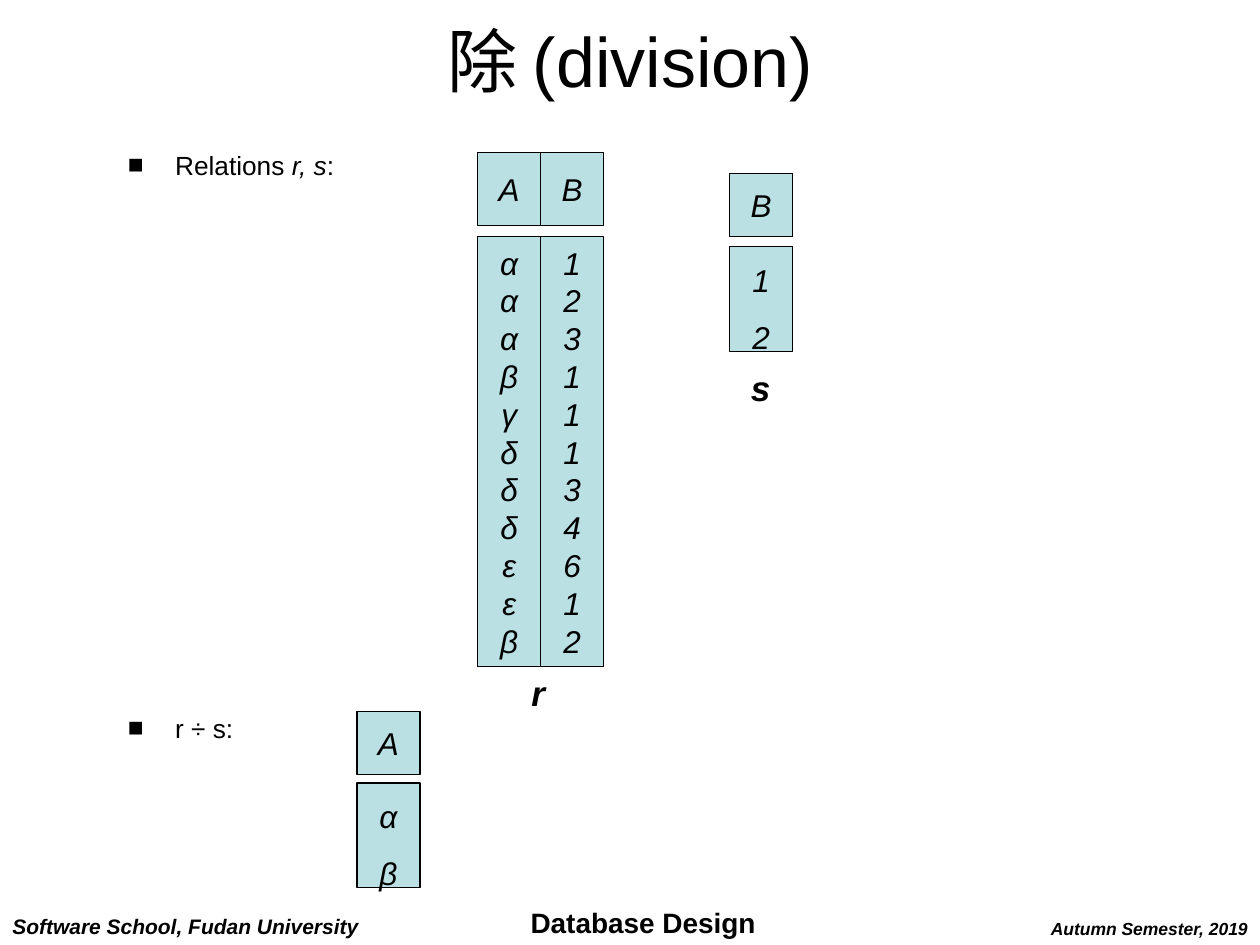
from lxml.etree import SubElement
from pptx import Presentation
from pptx.dml.color import RGBColor
from pptx.enum.shapes import MSO_SHAPE as SHAPE
from pptx.enum.text import MSO_ANCHOR as ANCHOR, MSO_AUTO_SIZE as AUTO, PP_ALIGN as ALIGN
from pptx.oxml.ns import qn
from pptx.util import Pt

BLACK, TEAL = "000000", "BBE0E3"


def color(value):
    """Turn a hex string into a colour."""
    return RGBColor.from_string(value)


def style(p, size, bold=False, italic=False):
    """Format every run of a paragraph."""
    for r in p.runs:
        r.font.name = "Arial"
        r.font.size = Pt(size)
        r.font.bold = bold
        r.font.italic = italic
        r.font.color.rgb = color(BLACK)


def add_text(s, box, text, size, align=ALIGN.CENTER, anchor=ANCHOR.TOP,
             wrap=False, bold=False, italic=False):
    """Add a one-line text box and return its paragraph."""
    tf = s.shapes.add_textbox(*map(Pt, box)).text_frame
    tf.word_wrap = wrap
    tf.auto_size = AUTO.NONE if wrap else AUTO.SHAPE_TO_FIT_TEXT
    tf.vertical_anchor = anchor
    p = tf.paragraphs[0]
    p.text = text
    p.alignment = align
    style(p, size, bold, italic)
    return p


def add_bullet(s, box, text):
    """Add a line of text with a square bullet."""
    p = add_text(s, box, text, 15, ALIGN.LEFT, wrap=True)
    pPr = p._p.get_or_add_pPr()
    pPr.set("marL", str(Pt(27)))
    pPr.set("indent", str(-Pt(27)))
    SubElement(pPr, qn("a:buFont"), typeface="Arial")
    SubElement(pPr, qn("a:buChar"), char="■")
    p.line_spacing = 0.8
    return p


def add_cell(s, box, values, spacing):
    """Add a filled rectangle that lists values, one a line."""
    sp = s.shapes.add_shape(SHAPE.RECTANGLE, *map(Pt, box))
    sp.shadow.inherit = False
    sp.fill.solid()
    sp.fill.fore_color.rgb = color(TEAL)
    sp.line.color.rgb = color(BLACK)
    sp.line.width = Pt(0.75)
    tf = sp.text_frame
    tf.word_wrap = False
    tf.vertical_anchor = ANCHOR.MIDDLE
    tf.text = "\n".join(values)
    for p in tf.paragraphs:
        p.alignment = ALIGN.CENTER
        p.line_spacing = spacing
        style(p, 18, italic=True)


def add_relation(s, box, columns, head, gap, spacing=1.0):
    """Draw a relation in a box: a header row above a body, per column."""
    left, top, width, height = box
    col = width / len(columns)
    body = head + gap
    for i, (name, values) in enumerate(columns.items()):
        x = left + i * col
        add_cell(s, (x, top, col, head), name, 1.0)
        add_cell(s, (x, top + body, col, height - body), values, spacing)


def add_footer(s, box):
    """Place the three footer texts along the bottom of a box."""
    left, top, width, height = box
    bottom = top + height
    add_text(s, (left, bottom - 21.6, 216, 21.6), "Software School, Fudan University",
             12, ALIGN.LEFT, bold=True, italic=True)
    add_text(s, (left + 292.5, bottom - 26.2, 150, 26.2), "Database Design", 16, bold=True)
    add_text(s, (left + width - 128.8, bottom - 19.2, 131, 19.2), "Autumn Semester, 2019",
             10, bold=True, italic=True)


def add_division(s, box):
    """Place the relations r and s and their quotient in a box."""
    left, top, width, _ = box
    p = add_bullet(s, (left, top, width, 26), "Relations ")
    for text in ("r, s", ":"):
        p.add_run().text = text
    style(p, 15)
    p.runs[1].font.italic = True
    add_bullet(s, (left, top + 321.7, width, 26), "r ÷ s:")

    add_relation(s, (left + 138, top + 321.5, 36, 100.5), {"A": "αβ"}, 36, 5, 1.5)
    add_relation(s, (left + 351, top + 14, 36, 102), {"B": "12"}, 36, 6, 1.5)
    add_relation(s, (left + 207, top + 2, 72, 294),
                 {"A": "αααβγδδδεεβ", "B": "12311134612"}, 42, 6)
    for name, x, y in (("r", 229, 294.5), ("s", 356, 120.5)):
        add_text(s, (left + x, top + y, 25, 32), name, 20,
                 anchor=ANCHOR.MIDDLE, bold=True, italic=True)


def main():
    """Build the slide and save it."""
    prs = Presentation()
    prs.slide_width, prs.slide_height = Pt(720), Pt(540)
    s = prs.slides.add_slide(prs.slide_layouts[6])
    add_footer(s, (0, 0, 720, 540))
    add_text(s, (36, 0, 648, 68.4), "除 (division)", 40, anchor=ANCHOR.MIDDLE, wrap=True)
    add_division(s, (66, 85, 554, 422))
    prs.save("out.pptx")


if __name__ == "__main__":
    main()
